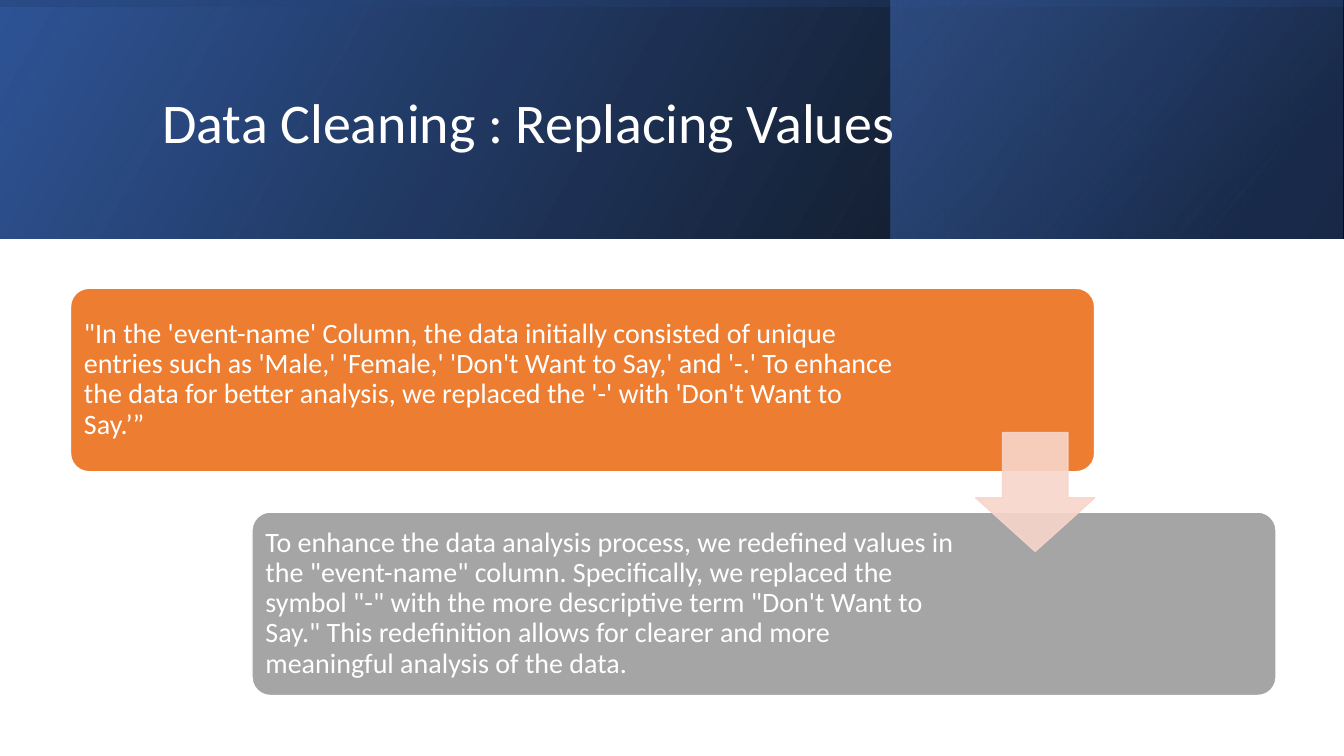
from lxml import etree
from pptx import Presentation
from pptx import util as u
from pptx.dml.color import RGBColor
from pptx.enum import shapes, text
from pptx.oxml.ns import qn

COLORS = {"white": "FFFFFF", "black": "000000", "blue": "2F5496", "navy": "1F3864",
          "sky": "4472C4", "orange": "ED7D31", "gray": "A5A5A5", "pink": "F7D5CB"}

prs = Presentation()
prs.slide_width, prs.slide_height = u.Inches(13.333), u.Inches(7.5)
W, H = prs.slide_width, prs.slide_height
slide = prs.slides.add_slide(prs.slide_layouts[5])
title = slide.shapes.title


def share(x, y, width, height):
    """Turn percentages of the slide into a left, top, width, height box."""
    return [int(part * side / 100) for part, side in zip((x, y, width, height), (W, H, W, H))]


def write(shape, words, size, inset_x, inset_y):
    frame = shape.text_frame
    settings = {"text": words, "word_wrap": True, "auto_size": text.MSO_AUTO_SIZE.NONE,
                "vertical_anchor": text.MSO_ANCHOR.MIDDLE,
                "margin_left": u.Inches(inset_x), "margin_right": u.Inches(inset_x),
                "margin_top": u.Inches(inset_y), "margin_bottom": u.Inches(inset_y)}
    for name, value in settings.items():
        setattr(frame, name, value)
    paragraph = frame.paragraphs[0]
    paragraph.alignment = text.PP_ALIGN.LEFT
    paragraph.line_spacing = 0.9
    font = paragraph.runs[0].font
    font.name, font.size = "Calibri", u.Pt(size)
    font.color.rgb = RGBColor.from_string(COLORS["white"])


# Header: three translucent gradients behind the title
band = int(0.316 * H)
header = [
    ((0, 0, W, band), 0, 330, [(0, "black", 96), (100, "blue", 100)]),
    ((int(0.663 * W), 0, int(0.336 * W), band), 0, 320,
     [(0, "navy", 68), (19, "navy", 68), (100, "sky", 48)]),
    (((W - band) // 2, (band - W) // 2, band, W), 270, 350,
     [(0, "blue", 16), (23, "blue", 16), (99, "black", 45), (100, "black", 45)]),
]
for box, rotation, angle, stops in header:
    layer = slide.shapes.add_shape(shapes.MSO_SHAPE.RECTANGLE, *box)
    layer.shadow.inherit = False
    layer.line.fill.background()
    layer.rotation = rotation
    properties = layer.element.spPr
    properties.find(qn("a:xfrm")).set("flipH", "1")
    gradient = etree.Element(qn("a:gradFill"), rotWithShape="1")
    stop_list = etree.SubElement(gradient, qn("a:gsLst"))
    for position, color, opacity in stops:
        stop = etree.SubElement(stop_list, qn("a:gs"), pos=str(position * 1000))
        tint = etree.SubElement(stop, qn("a:srgbClr"), val=COLORS[color])
        etree.SubElement(tint, qn("a:alpha"), val=str(opacity * 1000))
    etree.SubElement(gradient, qn("a:lin"), ang=str(angle * 60000), scaled="0")
    properties.find(qn("a:prstGeom")).addnext(gradient)
    title.element.addprevious(layer.element)

title.left, title.top, title.width, title.height = share(11.33, 5.07, 79.73, 22.93)
write(title, "Data Cleaning : Replacing Values", 40, 0.1, 0.05)

# Two staggered steps joined by an arrow
steps = [
    ("orange", 62.1, "\"In the 'event-name' Column, the data initially consisted of unique entries "
     "such as 'Male,' 'Female,' 'Don't Want to Say,' and '-.' To enhance the data for better "
     "analysis, we replaced the '-' with 'Don't Want to Say.’”"),
    ("gray", 53.1, 'To enhance the data analysis process, we redefined values in the "event-name" '
     'column. Specifically, we replaced the symbol "-" with the more descriptive term "Don\'t Want '
     'to Say." This redefinition allows for clearer and more meaningful analysis of the data.'),
]
process = slide.shapes.add_group_shape().shapes
outlined = []
for row, (color, text_width, words) in enumerate(steps):
    x, y = 5.25 + 13.5 * row, 38.13 + 29.6 * row
    card = process.add_shape(shapes.MSO_SHAPE.ROUNDED_RECTANGLE, *share(x, y, 76.2, 24.27))
    card.adjustments[0] = 0.1
    outlined.append((card, color, "white"))
    caption = process.add_textbox(*share(x + 0.4, y + 0.7, text_width, 22.8))
    write(caption, words, 20, 0.08, 0.08)

arrow = process.add_shape(shapes.MSO_SHAPE.DOWN_ARROW, *share(72.6, 57.2, 8.85, 15.73))
arrow.adjustments[0], arrow.adjustments[1] = 0.55, 0.45
outlined.append((arrow, "pink", "pink"))

for shape, fill, edge in outlined:
    shape.shadow.inherit = False
    shape.fill.solid()
    shape.fill.fore_color.rgb = RGBColor.from_string(COLORS[fill])
    shape.line.color.rgb = RGBColor.from_string(COLORS[edge])
    shape.line.width = u.Pt(1)
for tint in arrow.element.spPr.iter(qn("a:srgbClr")):
    etree.SubElement(tint, qn("a:alpha"), val="90000")

prs.save("out.pptx")
